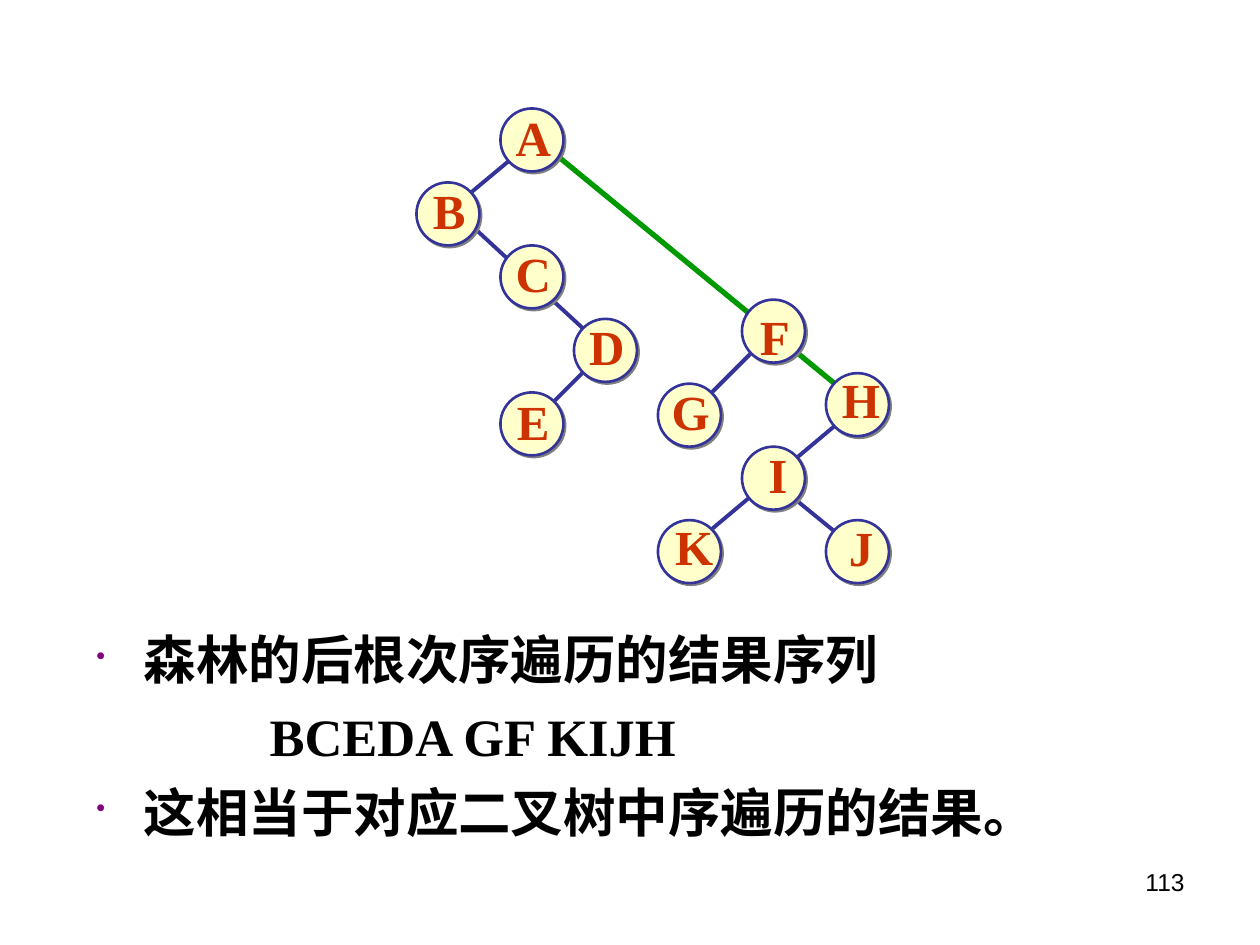
from lxml import etree
from pptx import Presentation
from pptx.dml.color import RGBColor
from pptx.enum.shapes import MSO_CONNECTOR, MSO_SHAPE
from pptx.enum.text import MSO_ANCHOR, PP_ALIGN
from pptx.oxml.ns import qn
from pptx.util import Pt

SERIF = "Times New Roman"
NAVY, GREEN = "333399", "009900"
DIAMETER = 36
LABEL_HEIGHT = 41

# letter: circle left, circle top, label width, label shift from centre (x, y)
NODES = {
    "A": (286, 62, 35, 0.7, -1.8),
    "B": (238, 104.25, 33, 0.7, -2.5),
    "C": (286, 140.25, 35, 0.7, -2.5),
    "D": (328, 182.25, 35, 0.7, -2.5),
    "E": (286, 224.25, 33, 0.7, -1.8),
    "F": (424, 171.25, 32, 0.7, 2.5),
    "G": (376, 219.25, 36, 0.7, -2.5),
    "H": (472, 213.25, 36, 2, -3.2),
    "I": (424, 255.25, 25, 2.5, -2.5),
    "J": (472, 297.25, 28, 2, -2.5),
    "K": (376, 297.25, 36, 2.7, -3.2),
}

# x1, y1, x2, y2, colour, width
EDGES = [
    (316, 87, 484, 225, GREEN, 3),
    (340, 206, 310, 236, NAVY, 2.25),
    (262, 122, 340, 194, NAVY, 2.25),
    (298, 86, 262, 116, NAVY, 2.25),
    (454, 285, 484, 309.5, NAVY, 2.25),
    (484, 237.5, 406, 303, NAVY, 2.25),
    (436, 195, 400, 231, NAVY, 2.25),
]

# text, has bullet
BODY = [
    ("森林的后根次序遍历的结果序列", True),
    ("BCEDA GF KIJH", False),
    ("这相当于对应二叉树中序遍历的结果。", True),
]


def rgb(value):
    return RGBColor.from_string(value)


def set_font(p, size, color, name=SERIF, bold=False):
    f = p.font
    f.size, f.name, f.bold = Pt(size), name, bold
    f.color.rgb = rgb(color)


def add_edge(s, x1, y1, x2, y2, color, width):
    line = s.shapes.add_connector(
        MSO_CONNECTOR.STRAIGHT, Pt(x1), Pt(y1), Pt(x2), Pt(y2))
    line.line.color.rgb = rgb(color)
    line.line.width = Pt(width)
    etree.SubElement(line._element.spPr, qn("a:effectLst"))


def add_hard_shadow(sp):
    """Offset the shape's shadow to the lower right without blur."""
    sp.shadow.inherit = False
    effects = sp._element.spPr.find(qn("a:effectLst"))
    shadow = etree.SubElement(effects, qn("a:outerShdw"), blurRad="0",
                              dist=str(Pt(1.4)), dir="2700000",
                              algn="ctr", rotWithShape="0")
    etree.SubElement(shadow, qn("a:srgbClr"), val="808080")


def add_text_box(s, left, top, width, height, wrap=True):
    tf = s.shapes.add_textbox(Pt(left), Pt(top), Pt(width), Pt(height)).text_frame
    tf.word_wrap = wrap
    return tf


def add_circle(s, left, top):
    sp = s.shapes.add_shape(MSO_SHAPE.OVAL, Pt(left), Pt(top),
                            Pt(DIAMETER), Pt(DIAMETER))
    sp.fill.solid()
    sp.fill.fore_color.rgb = rgb("FFFFCC")
    sp.line.color.rgb = rgb(NAVY)
    sp.line.width = Pt(1.5)
    add_hard_shadow(sp)


def add_node(s, letter, left, top, width, dx, dy):
    add_circle(s, left, top)
    tf = add_text_box(s, left + (DIAMETER - width) / 2 + dx,
                      top + (DIAMETER - LABEL_HEIGHT) / 2 + dy,
                      width, LABEL_HEIGHT, wrap=False)
    tf.vertical_anchor = MSO_ANCHOR.MIDDLE
    p = tf.paragraphs[0]
    p.text = letter
    p.alignment = PP_ALIGN.CENTER
    set_font(p, 28, "CC3300", bold=True)


def set_bullet(p):
    pPr = p._p.get_or_add_pPr()
    pPr.set("marL", str(Pt(27)))
    pPr.set("indent", str(Pt(-27)))
    color = etree.Element(qn("a:buClr"))
    etree.SubElement(color, qn("a:srgbClr"), val="800080")
    size = etree.Element(qn("a:buSzPct"), val="50000")
    char = etree.Element(qn("a:buChar"), char="•")
    at = pPr.index(pPr.find(qn("a:defRPr")))
    pPr[at:at] = [color, size, char]


def add_body(s):
    tf = add_text_box(s, 48, 355, 648, 147.5)
    for i, (text, bulleted) in enumerate(BODY):
        p = tf.add_paragraph() if i else tf.paragraphs[0]
        p.text = text
        p.space_before = Pt(7.5)
        set_font(p, 30, "000000", bold=True)
        if bulleted:
            set_bullet(p)
        else:
            p._p.get_or_add_pPr().set("marL", str(Pt(99)))


def add_page_number(s):
    p = add_text_box(s, 516, 492, 168, 37.5).paragraphs[0]
    p.text = "113"
    p.alignment = PP_ALIGN.RIGHT
    set_font(p, 14, "000000", "Arial")


def main():
    prs = Presentation()
    prs.slide_width, prs.slide_height = Pt(720), Pt(540)
    s = prs.slides.add_slide(prs.slide_layouts[6])
    for edge in EDGES:
        add_edge(s, *edge)
    for letter, place in NODES.items():
        add_node(s, letter, *place)
    add_body(s)
    add_page_number(s)
    prs.save("out.pptx")


if __name__ == "__main__":
    main()
